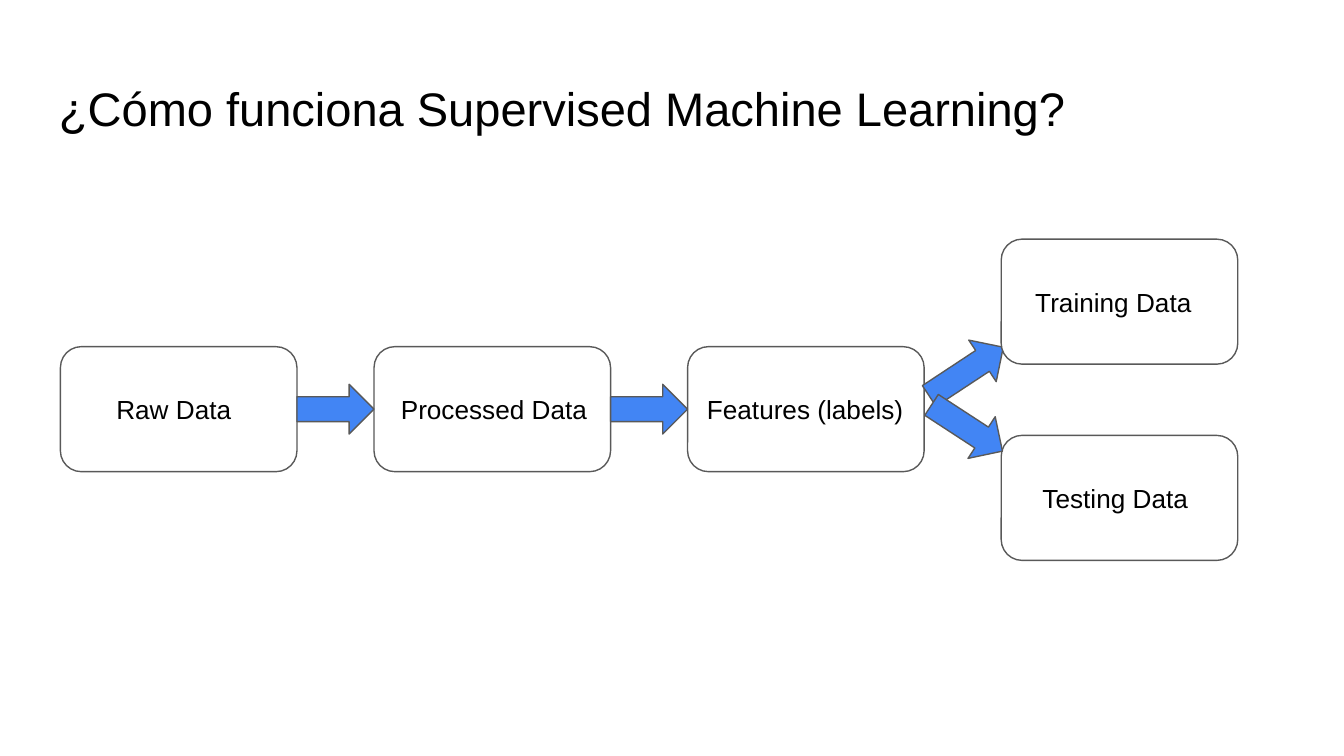
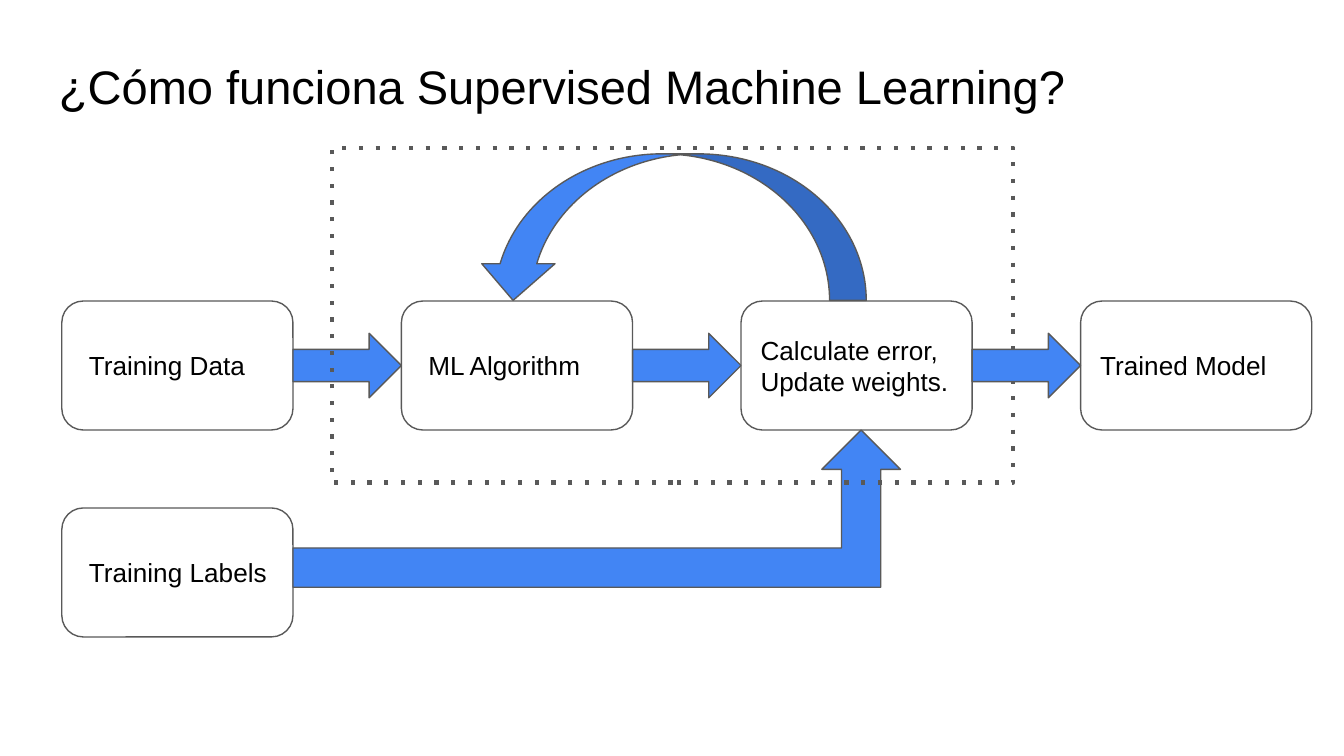
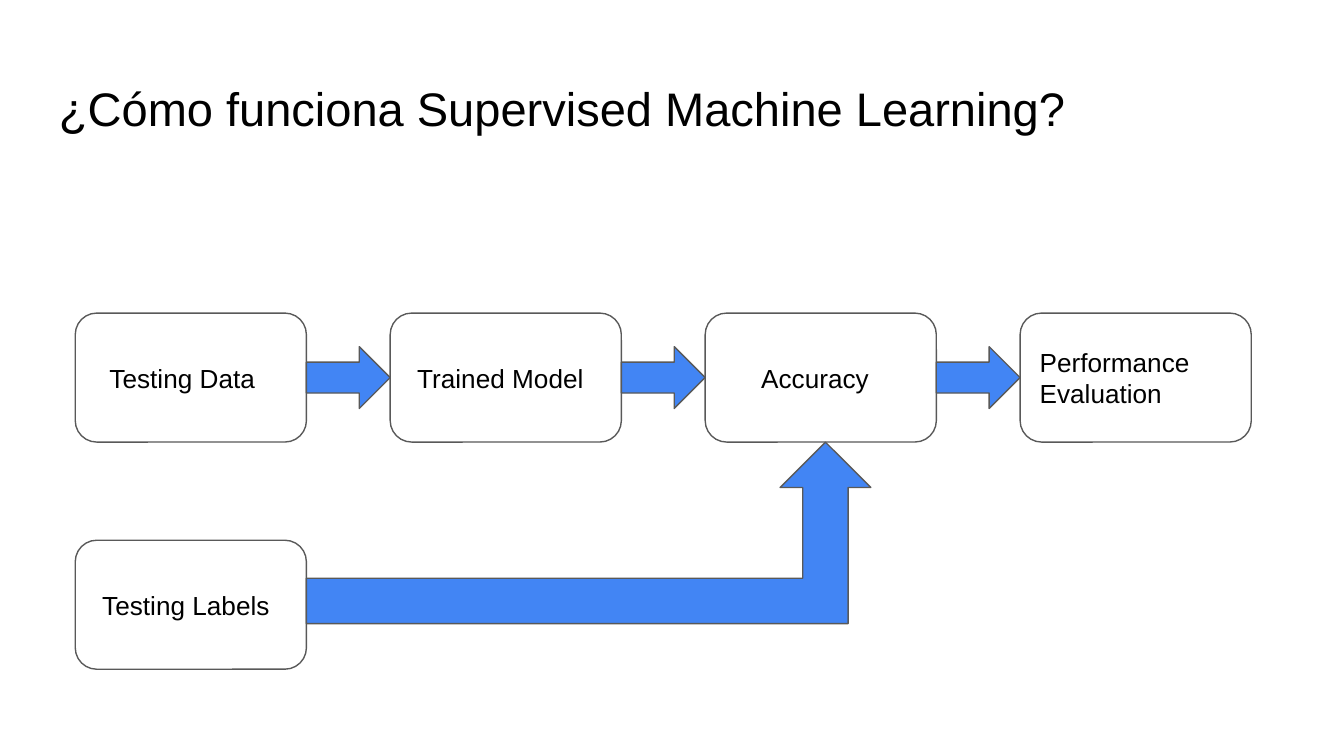
"""Build three slides on how supervised machine learning works."""
from pptx import Presentation
from pptx.dml.color import RGBColor
from pptx.enum import dml, shapes, text
from pptx.oxml.ns import qn
from pptx.util import Inches, Pt

KIND = shapes.MSO_SHAPE
HEX = {"ink": "000000", "paper": "FFFFFF", "edge": "595959", "arrow": "4285F4"}
FONT = "Arial"
TITLE = "¿Cómo funciona Supervised Machine Learning?"
WIDTH = Inches(10)
HEIGHT = WIDTH * 9 // 16
INSET, STEP = 0.1, 0.054

SLIDES = [
    {"title": (0.49, 0.63), "cols": (0.45, 7.45), "rows": (2.58, 1.78, 3.24),
     "box": (1.76, 0.93), "thick": 0.37,
     "parts": [
         ("box", 0, 0, "Raw Data", 5),
         ("box", 1, 0, "Processed Data", 1),
         ("box", 3, 2, "Testing Data", 3),
         ("box", 2, 0, "Features (labels)", 0),
         ("arrow", 0), ("arrow", 1),
         ("free", KIND.RIGHT_ARROW, (6.86, 2.58, 0.66, 0.37), 326.6),
         ("box", 3, 1, "Training Data", 2),
         ("free", KIND.RIGHT_ARROW, (6.88, 3, 0.63, 0.37), 33.1)]},
    {"title": (0.33, 0.77), "cols": (0.46, 8.04), "rows": (2.24, 3.78),
     "box": (1.72, 0.96), "thick": 0.48,
     "parts": [
         ("box", 0, 0, "Training Data", 1),
         ("box", 0, 1, "Training Labels", 1),
         ("box", 2, 0, "Calculate error,\nUpdate weights.", 0),
         ("box", 3, 0, "Trained Model", 0),
         ("box", 1, 0, "ML Algorithm", 1),
         ("arrow", 0),
         ("bend", 4.52, 1.17),
         ("free", KIND.CURVED_RIGHT_ARROW, (4.45, 0.24, 1.09, 2.9), 90),
         ("frame", (2.47, 1.1, 5.07, 2.49)),
         ("arrow", 1), ("arrow", 2)]},
    {"title": (0.49, 0.63), "cols": (0.56, 7.59), "rows": (2.33, 4.02),
     "box": (1.72, 0.96), "thick": 0.46,
     "parts": [
         ("box", 0, 0, "Testing Data", 2),
         ("box", 0, 1, "Testing Labels", 1),
         ("box", 1, 0, "Trained Model", 1),
         ("box", 2, 0, "Accuracy", 5),
         ("box", 3, 0, "Performance Evaluation", 0),
         ("arrow", 0), ("arrow", 2), ("arrow", 1),
         ("bend", 4.2, 1.35)]},
]


def tint(name):
    return RGBColor.from_string(HEX[name])


def write(shape, words, size, anchor, steps=0):
    frame = shape.text_frame
    frame.text = words
    frame.word_wrap = True
    frame.vertical_anchor = anchor
    frame.margin_left = Inches(INSET + steps * STEP)
    frame.margin_right = frame.margin_top = frame.margin_bottom = Inches(INSET)
    for para in frame.paragraphs:
        para.alignment = text.PP_ALIGN.LEFT
        for run in para.runs:
            run.font.name, run.font.size = FONT, Pt(size)
            run.font.color.rgb = tint("ink")


def draw(slide, kind, spot, fill="arrow", width=0.75, turn=0):
    shape = slide.shapes.add_shape(kind, *map(Inches, spot))
    shape.shadow.inherit = False
    shape.rotation = turn
    if fill:
        shape.fill.solid()
        shape.fill.fore_color.rgb = tint(fill)
    else:
        shape.fill.background()
    shape.line.color.rgb = tint("edge")
    shape.line.width = Pt(width)
    return shape


def place(slide, plan, sort, *args):
    (first, last), rows = plan["cols"], plan["rows"]
    wide, high = plan["box"]
    pitch = (last - first) / 3
    if sort == "box":
        col, row, words, steps = args
        spot = (first + col * pitch, rows[row], wide, high)
        shape = draw(slide, KIND.ROUNDED_RECTANGLE, spot, "paper")
        write(shape, words, 14, text.MSO_ANCHOR.MIDDLE, steps)
    elif sort == "arrow":
        thick = plan["thick"]
        draw(slide, KIND.RIGHT_ARROW,
             (first + args[0] * pitch + wide, rows[0] + (high - thick) / 2,
              pitch - wide, thick))
    elif sort == "bend":
        draw(slide, KIND.BENT_UP_ARROW, (first + wide, rows[0] + high, *args))
    elif sort == "free":
        kind, spot, turn = args
        draw(slide, kind, spot, turn=turn)
    else:
        shape = draw(slide, KIND.RECTANGLE, args[0], None, 2.25)
        shape.line.dash_style = dml.MSO_LINE.ROUND_DOT
        shape._element.find(".//" + qn("a:prstDash")).set("val", "dot")


def main():
    deck = Presentation()
    deck.slide_width, deck.slide_height = WIDTH, HEIGHT
    for plan in SLIDES:
        slide = deck.slides.add_slide(deck.slide_layouts[6])
        top, high = plan["title"]
        head = slide.shapes.add_textbox(*map(Inches, (0.34, top, 9.32, high)))
        write(head, TITLE, 25.2, text.MSO_ANCHOR.TOP)
        for part in plan["parts"]:
            place(slide, plan, *part)
    deck.save("out.pptx")


if __name__ == "__main__":
    main()
